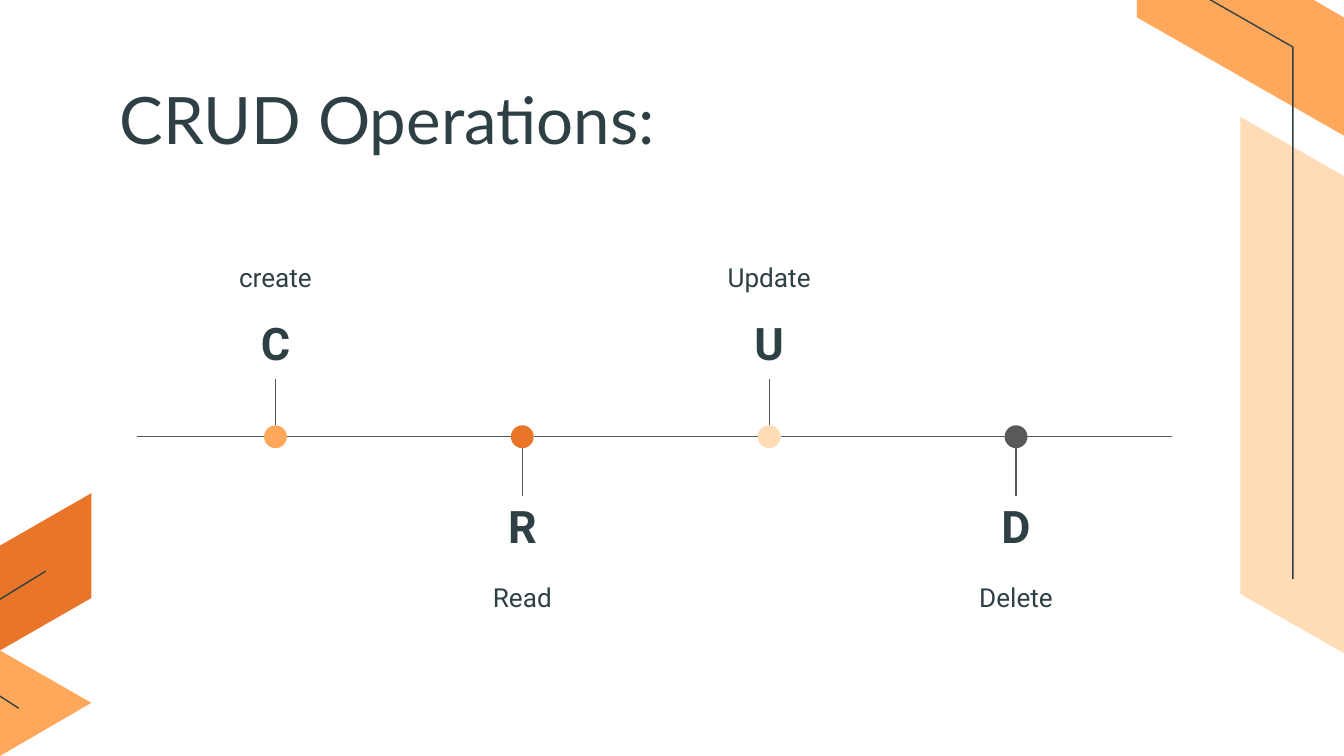
from lxml import etree
from pptx import Presentation
from pptx.dml.color import RGBColor
from pptx.enum.shapes import MSO_CONNECTOR as Connector, MSO_SHAPE as Shape
from pptx.enum.text import MSO_ANCHOR as Anchor, PP_ALIGN as Align
from pptx.oxml.ns import qn
from pptx.util import Inches, Pt

INK = RGBColor(0x2F, 0x40, 0x44)
GRAY = RGBColor(0x59, 0x59, 0x59)
ORANGE = RGBColor(0xFF, 0xA8, 0x5C)
DEEP = RGBColor(0xE9, 0x75, 0x29)
PEACH = RGBColor(0xFF, 0xDC, 0xB6)

# Slide size in inches, 16:9
WIDTH = 10
HEIGHT = WIDTH * 9 / 16

# Content
TITLE = "CRUD Operations:"
OPERATIONS = [
    ("C", "create", ORANGE),
    ("R", "Read", DEEP),
    ("U", "Update", PEACH),
    ("D", "Delete", GRAY),
]
# Corner decoration: fill (None for an open line) and points in inches
DECORATION = [
    (PEACH, [(9.23, 0.87), (WIDTH, 1.31), (WIDTH, 4.86), (9.23, 4.42)]),
    (ORANGE, [(8.46, -0.76), (WIDTH, 0.13), (WIDTH, 1.01), (8.46, 0.13)]),
    (None, [(9.62, 4.31), (9.62, 0.35), (8.01, -0.57)]),
    (DEEP, [(0, 4.06), (0.68, 3.67), (0.68, 4.45), (0, 4.84)]),
    (ORANGE, [(0, HEIGHT), (-0.68, 5.23), (0, 4.84), (0.68, 5.23)]),
    (None, [(0.14, 5.27), (-0.28, 5), (-0.28, 4.63), (0.34, 4.25)]),
]

# Timeline grid, in inches
AXIS_Y, AXIS_LEFT, AXIS_RIGHT = 3.25, 1.02, 8.72
FIRST_X, LAST_X = 2.05, 7.56
STEP = (LAST_X - FIRST_X) / (len(OPERATIONS) - 1)
DOT = 0.17
BOX_W, LETTER_H, LABEL_H = 2.34, 0.44, 0.63
ABOVE_Y, BELOW_Y = 2.82, 3.69  # outer ends of the stems

deck = Presentation()
deck.slide_width, deck.slide_height = Inches(WIDTH), Inches(HEIGHT)
page = deck.slides.add_slide(deck.slide_layouts[6])


def add_text(text, left, top, width, height, size, font="Roboto", bold=False,
             align=Align.CENTER, anchor=Anchor.MIDDLE, inset_top=0.1):
    box = page.shapes.add_textbox(*map(Inches, (left, top, width, height)))
    frame = box.text_frame
    frame.word_wrap = True
    frame.vertical_anchor = anchor
    frame.margin_left = frame.margin_right = frame.margin_bottom = Inches(0.1)
    frame.margin_top = Inches(inset_top)
    para = frame.paragraphs[0]
    para.alignment = align
    span = para.add_run()
    span.text = text
    span.font.name, span.font.size, span.font.bold = font, Pt(size), bold
    span.font.color.rgb = INK
    return box


def add_line(x1, y1, x2, y2):
    line = page.shapes.add_connector(
        Connector.STRAIGHT, *map(Inches, (x1, y1, x2, y2)))
    line.line.color.rgb, line.line.width = GRAY, Pt(0.75)
    etree.SubElement(line._element.spPr, qn("a:effectLst"))
    return line


def paint(shape, color):
    shape.shadow.inherit = False
    shape.fill.solid()
    shape.fill.fore_color.rgb = color
    shape.line.fill.background()


# Decoration
for color, points in DECORATION:
    start, *rest = [(Inches(x), Inches(y)) for x, y in points]
    builder = page.shapes.build_freeform(*start)
    builder.add_line_segments(rest, close=color is not None)
    outline = builder.convert_to_shape()
    if color is not None:
        paint(outline, color)
    else:
        outline.shadow.inherit = False
        outline.fill.background()
        outline.line.color.rgb, outline.line.width = INK, Pt(0.75)

# Title
add_text(TITLE, 0.79, 0.59, 8.43, 0.57, 35, font="Lato",
         align=Align.LEFT, anchor=Anchor.TOP, inset_top=0)

# Operations alternate above and below the axis
centers = [FIRST_X + i * STEP for i in range(len(OPERATIONS))]
for i, (x, (letter, label, color)) in enumerate(zip(centers, OPERATIONS)):
    above = i % 2 == 0
    if above:
        letter_y, stem_y, dot_edge = ABOVE_Y - LETTER_H, ABOVE_Y, AXIS_Y - DOT / 2
        label_y = letter_y - LABEL_H
    else:
        letter_y, stem_y, dot_edge = BELOW_Y, BELOW_Y, AXIS_Y + DOT / 2
        label_y = letter_y + LETTER_H
    left = x - BOX_W / 2
    letter_box = add_text(letter, left, letter_y, BOX_W, LETTER_H, 24,
                          bold=True, inset_top=0 if above else 0.1)
    add_text(label, left, label_y, BOX_W, LABEL_H, 14)
    stem = add_line(x, dot_edge, x, stem_y)
    stem.end_connect(letter_box, 2 if above else 0)
    dot = page.shapes.add_shape(
        Shape.OVAL, Inches(x - DOT / 2), Inches(AXIS_Y - DOT / 2),
        Inches(DOT), Inches(DOT))
    paint(dot, color)

# Axis pieces between the dots
starts = [AXIS_LEFT] + [x + DOT / 2 for x in centers]
ends = [x - DOT / 2 for x in centers] + [AXIS_RIGHT]
for x1, x2 in zip(starts, ends):
    add_line(x1, AXIS_Y, x2, AXIS_Y)

deck.save("out.pptx")
